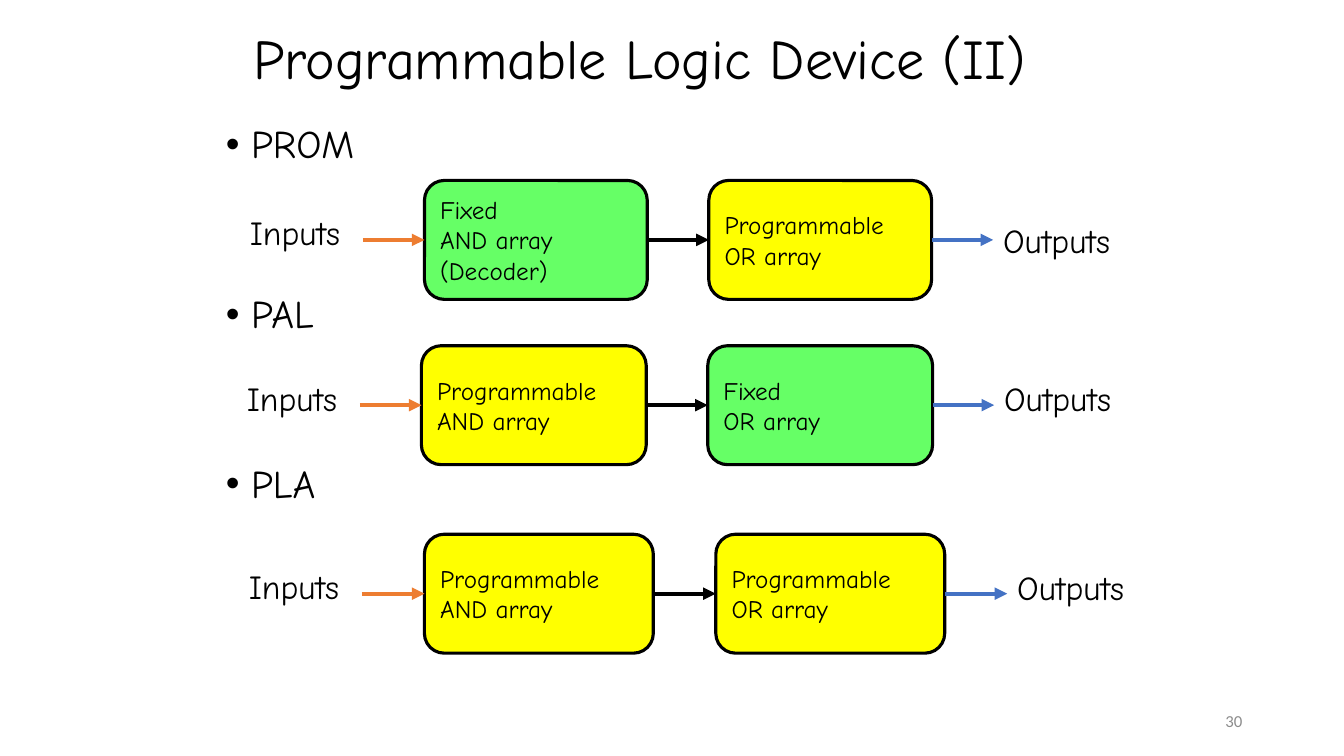
from collections import namedtuple

from lxml import etree
from pptx import Presentation
from pptx.dml import color
from pptx.enum import shapes, text
from pptx.oxml import ns
from pptx.util import Inches, Pt

COLORS = {
    "ink": "000000",
    "fixed": "66FF66",
    "programmable": "FFFF00",
    "input": "ED7D31",
    "output": "4472C4",
    "number": "8C8C8C",
}
FONT = "Comic Neue"
BOX_HEIGHT = 1.18

Device = namedtuple("Device", "left top box_width gap output_drop stages")
DEVICES = [
    Device(3.6, 1.79, 2.21, 0.61, 0.4,
           [("fixed", "Fixed\nAND array\n(Decoder)"), ("programmable", "Programmable\nOR array")]),
    Device(3.57, 3.43, 2.23, 0.61, 0.32,
           [("programmable", "Programmable\nAND array"), ("fixed", "Fixed\nOR array")]),
    Device(3.59, 5.3, 2.27, 0.62, 0.33,
           [("programmable", "Programmable\nAND array"), ("programmable", "Programmable\nOR array")]),
]


def rgb(name):
    """Return the named colour."""
    return color.RGBColor.from_string(COLORS[name])


def place(shape, left, top, width, height):
    """Move a shape to a box given in inches."""
    shape.left, shape.top = Inches(left), Inches(top)
    shape.width, shape.height = Inches(width), Inches(height)


def write(shape, wording, size, font=FONT, ink="ink", spacing=None, align=text.PP_ALIGN.LEFT):
    """Fill a shape with evenly formatted text."""
    shape.text_frame.text = wording
    for paragraph in shape.text_frame.paragraphs:
        paragraph.alignment = align
        paragraph.line_spacing = spacing
        for run in paragraph.runs:
            run.font.name, run.font.size = font, Pt(size)
            run.font.color.rgb = rgb(ink)


def add_label(parent, wording, left, top, width):
    """Add a label beside an arrow."""
    label = parent.shapes.add_textbox(Inches(left), Inches(top), Inches(width), Inches(0.45))
    label.text_frame.word_wrap = True
    write(label, wording, 24, spacing=0.87)


def add_arrow(parent, left, middle, length, ink):
    """Add a horizontal arrow pointing right."""
    arrow = parent.shapes.add_connector(
        shapes.MSO_CONNECTOR.STRAIGHT,
        Inches(left), Inches(middle), Inches(left + length), Inches(middle))
    arrow.line.color.rgb = rgb(ink)
    arrow.line.width = Pt(3)
    etree.SubElement(arrow.line._get_or_add_ln(), ns.qn("a:tailEnd"), type="triangle")
    etree.SubElement(arrow._element.spPr, ns.qn("a:effectLst"))


def add_stage(parent, wording, fill, left, top, width):
    """Add one rounded logic array."""
    stage = parent.shapes.add_shape(
        shapes.MSO_SHAPE.ROUNDED_RECTANGLE,
        Inches(left), Inches(top), Inches(width), Inches(BOX_HEIGHT))
    stage.shadow.inherit = False
    stage.fill.solid()
    stage.fill.fore_color.rgb = rgb(fill)
    stage.line.color.rgb = rgb("ink")
    stage.line.width = Pt(2.25)
    stage.text_frame.word_wrap = False
    stage.text_frame.vertical_anchor = text.MSO_ANCHOR.MIDDLE
    write(stage, wording, 18)


def add_device(slide, device):
    """Draw one device from its inputs to its outputs."""
    group = slide.shapes.add_group_shape()
    step = device.gap + device.box_width
    middle = device.top + BOX_HEIGHT / 2
    for index, (fill, wording) in enumerate(device.stages):
        add_stage(group, wording, fill, device.left + device.gap + index * step,
                  device.top, device.box_width)
    for index, ink in enumerate(("input", "ink", "output")):
        add_arrow(group, device.left + index * step, middle, device.gap, ink)
    add_label(group, "Inputs", device.left - 1.22, device.top + 0.32, 1.34)
    add_label(group, "Outputs", device.left + 2 * step + device.gap,
              device.top + device.output_drop, 1.67)


def add_title(slide):
    """Set the slide title."""
    title = slide.shapes.title
    place(title, 2.41, 0.22, 9.03, 0.77)
    title.text_frame.auto_size = text.MSO_AUTO_SIZE.NONE
    title.text_frame.vertical_anchor = text.MSO_ANCHOR.MIDDLE
    write(title, "Programmable Logic Device (II)", 40, spacing=0.9)


def add_device_names(slide):
    """List the device names, spaced to sit above their diagrams."""
    body = slide.placeholders[1]
    place(body, 2.14, 1.19, 9.06, 4.73)
    body.text_frame.auto_size = text.MSO_AUTO_SIZE.NONE
    write(body, "PROM\nPAL\nPLA", 28, spacing=0.9)
    for index, paragraph in enumerate(body.text_frame.paragraphs):
        paragraph.space_before = Pt(91 if index else 0)
        properties = paragraph._p.get_or_add_pPr()
        properties.set("marL", str(Inches(0.25)))
        properties.set("indent", str(Inches(-0.25)))
        etree.SubElement(properties, ns.qn("a:buFont"), typeface="Arial")
        etree.SubElement(properties, ns.qn("a:buChar"), char="•")


def add_page_number(slide):
    """Add the page number at the lower right."""
    number = slide.shapes.add_textbox(Inches(9.42), Inches(6.95), Inches(3), Inches(0.4))
    number.text_frame.word_wrap = True
    number.text_frame.vertical_anchor = text.MSO_ANCHOR.MIDDLE
    write(number, "30", 12, "Calibri", "number", align=text.PP_ALIGN.RIGHT)


def main():
    """Build and save the presentation."""
    presentation = Presentation()
    presentation.slide_width, presentation.slide_height = Inches(13.33), Inches(7.5)
    slide = presentation.slides.add_slide(presentation.slide_layouts[1])
    add_title(slide)
    add_device_names(slide)
    for device in DEVICES:
        add_device(slide, device)
    add_page_number(slide)
    presentation.save("out.pptx")


if __name__ == "__main__":
    main()
